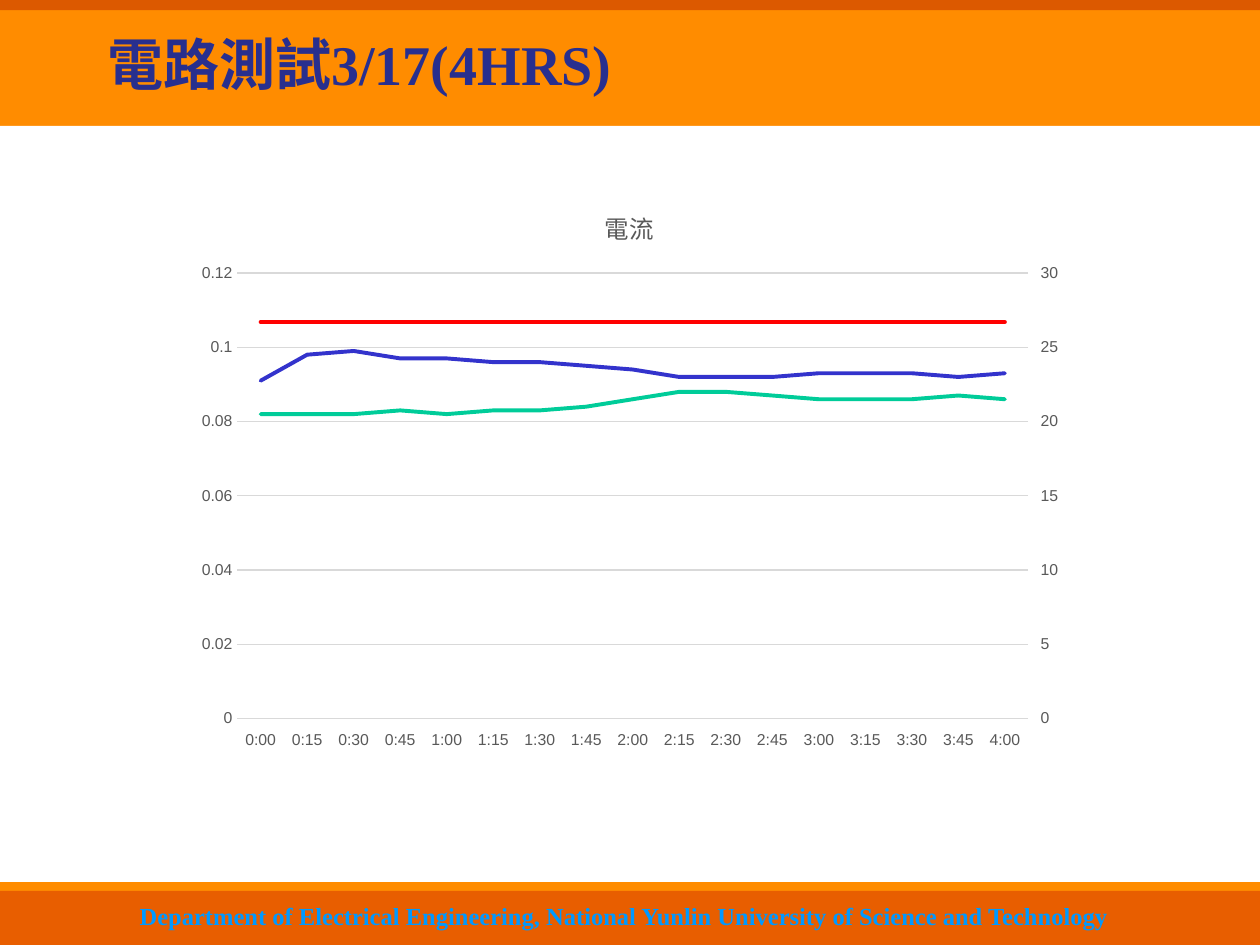
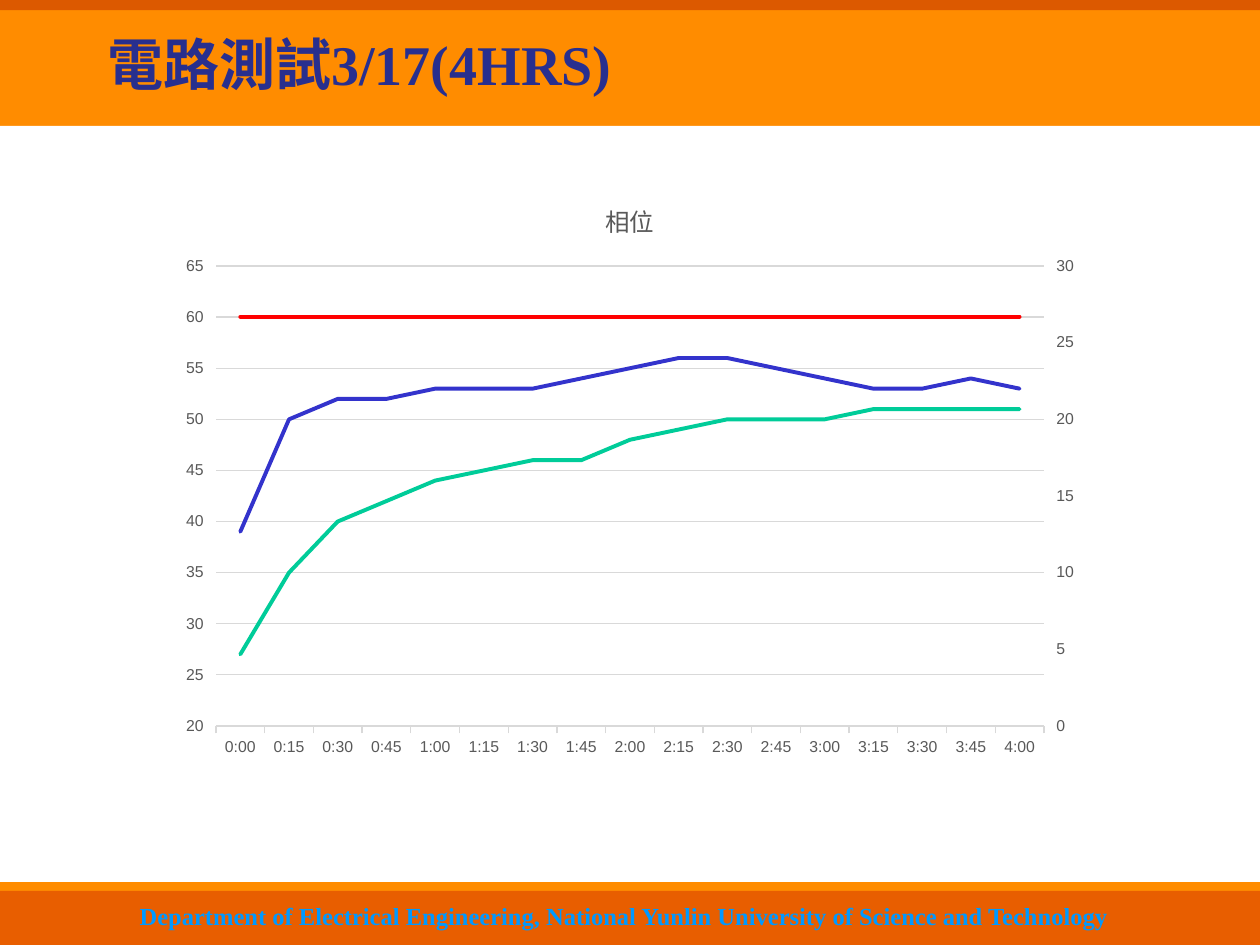
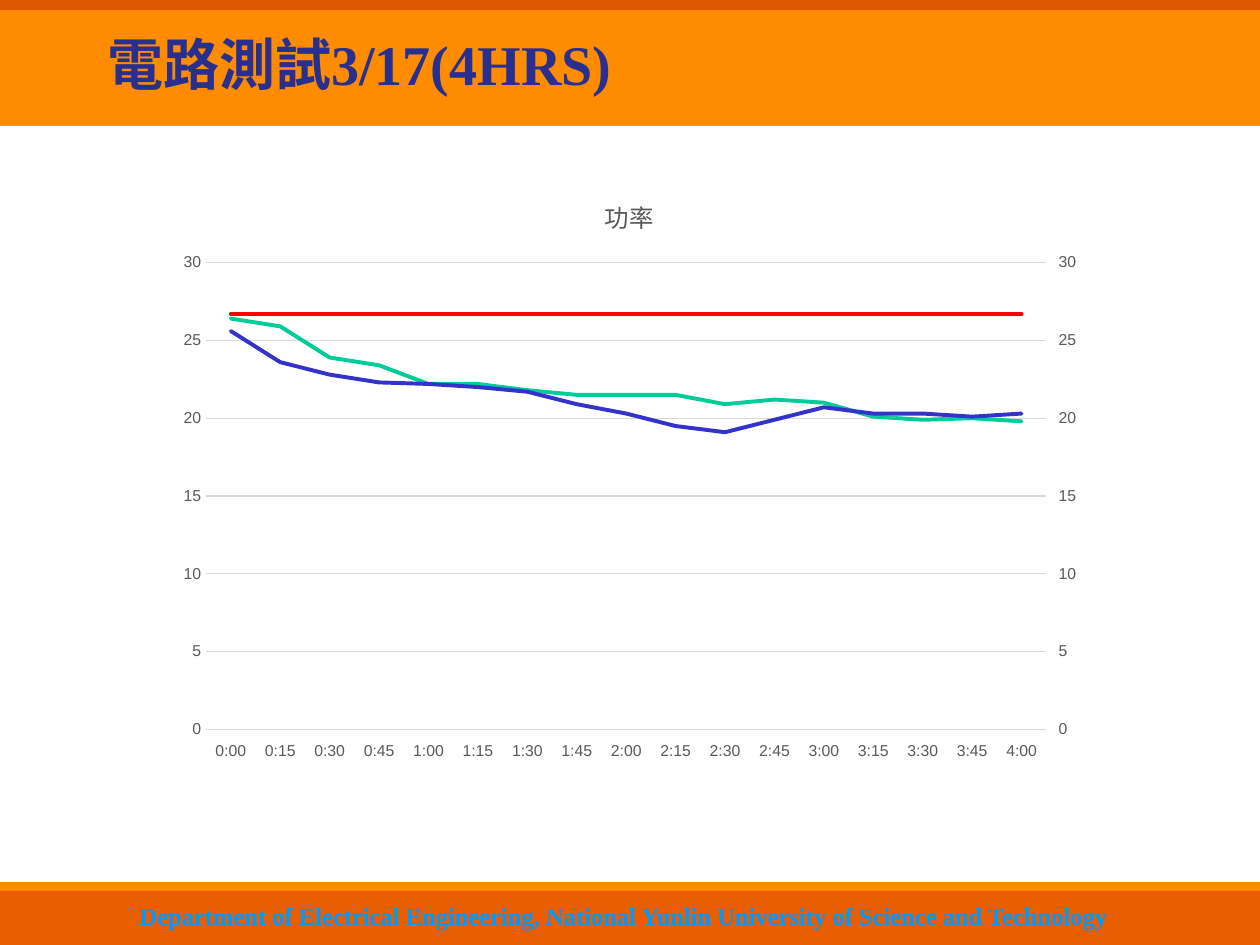
from copy import deepcopy

from lxml import etree
from pptx import Presentation
from pptx.chart.data import CategoryChartData
from pptx.dml.color import RGBColor
from pptx.enum.chart import XL_CHART_TYPE, XL_TICK_LABEL_POSITION, XL_TICK_MARK
from pptx.enum.shapes import MSO_SHAPE
from pptx.enum.text import MSO_ANCHOR, PP_ALIGN
from pptx.oxml import parse_xml
from pptx.oxml.ns import nsdecls, qn
from pptx.util import Inches, Pt

RECT, ROUND = MSO_SHAPE.RECTANGLE, MSO_SHAPE.ROUNDED_RECTANGLE
LEFT, CENTER, MIDDLE = PP_ALIGN.LEFT, PP_ALIGN.CENTER, MSO_ANCHOR.MIDDLE
TICK_NONE, TICK_OUT = XL_TICK_MARK.NONE, XL_TICK_MARK.OUTSIDE

WHITE = RGBColor(0xFF, 0xFF, 0xFF)
ORANGE = RGBColor(0xFF, 0x8C, 0x00)
TOP_ORANGE = RGBColor(0xDC, 0x59, 0x00)
FOOTER_ORANGE = RGBColor(0xE8, 0x5E, 0x00)
FOOTER_BLUE = RGBColor(0x00, 0x99, 0xFF)
TITLE_BLUE = RGBColor(0x28, 0x2F, 0x8E)
GREEN = RGBColor(0x00, 0xCC, 0x99)
BLUE = RGBColor(0x33, 0x33, 0xCC)
RED = RGBColor(0xFF, 0x00, 0x00)
BLACK = RGBColor(0x00, 0x00, 0x00)
GRAY = RGBColor(0x59, 0x59, 0x59)
GRID = RGBColor(0xD9, 0xD9, 0xD9)

SERIF, SANS = "Times New Roman", "Arial"
TITLE = "電路測試3/17(4HRS)"
FOOTER = ("Department of Electrical Engineering, "
          "National Yunlin University of Science and Technology")
BANDS = [
    (RECT, (0, 0.02, 10, 7.48), ORANGE),
    (RECT, (0, 0, 10, 0.08), TOP_ORANGE),
    (ROUND, (0, 1, 10, 6), WHITE),
    (ROUND, (0, 7.07, 10, 0.43), FOOTER_ORANGE),
]
TITLE_BOX = (0.75, 0, 8.19, 1)
FOOTER_BOX = (0.9, 7.1, 8.11, 0.33)

TIMES = [f"{i // 4}:{i % 4 * 15:02d}" for i in range(17)]
REFERENCE = [26.7] * len(TIMES)

# chart title, box, left axis (min, max, step), tick mark, green values, blue values
CHARTS = [
    ("電流", (1.46, 1.46, 7.08, 4.58), (0, 0.12, 0.02), TICK_NONE,
     [0.082, 0.082, 0.082, 0.083, 0.082, 0.083, 0.083, 0.084, 0.086,
      0.088, 0.088, 0.087, 0.086, 0.086, 0.086, 0.087, 0.086],
     [0.091, 0.098, 0.099, 0.097, 0.097, 0.096, 0.096, 0.095, 0.094,
      0.092, 0.092, 0.092, 0.093, 0.093, 0.093, 0.092, 0.093]),
    ("相位", (1.33, 1.4, 7.34, 4.7), (20, 65, 5), TICK_OUT,
     [27, 35, 40, 42, 44, 45, 46, 46, 48, 49, 50, 50, 50, 51, 51, 51, 51],
     [39, 50, 52, 52, 53, 53, 53, 54, 55, 56, 56, 55, 54, 53, 53, 54, 53]),
    ("功率", (1.31, 1.37, 7.38, 4.76), (0, 30, 5), TICK_NONE,
     [26.4, 25.9, 23.9, 23.4, 22.2, 22.2, 21.8, 21.5, 21.5,
      21.5, 20.9, 21.2, 21, 20.1, 19.9, 20, 19.8],
     [25.6, 23.6, 22.8, 22.3, 22.2, 22, 21.7, 20.9, 20.3,
      19.5, 19.1, 19.9, 20.7, 20.3, 20.3, 20.1, 20.3]),
]


def inches(box):
    return [Inches(v) for v in box]


def set_font(font, name, size, color, bold=False):
    font.size, font.bold = Pt(size), bold
    font.color.rgb = color
    font.name = name


def add_bands(slide):
    for kind, box, color in BANDS:
        sp = slide.shapes.add_shape(kind, *inches(box))
        sp.shadow.inherit = False
        sp.fill.solid()
        sp.fill.fore_color.rgb = color
        sp.line.fill.background()
        if kind == ROUND:
            sp.adjustments[0] = 0


def write_line(sp, text, size, color, align):
    tf = sp.text_frame
    tf.word_wrap = True
    tf.vertical_anchor = MIDDLE
    p = tf.paragraphs[0]
    p.alignment = align
    r = p.add_run()
    r.text = text
    set_font(r.font, SERIF, size, color, True)
    return r


def add_footer(slide, box):
    sp = slide.shapes.add_textbox(*inches(box))
    r = write_line(sp, FOOTER, 14, FOOTER_BLUE, CENTER)
    shadow = parse_xml(
        f'<a:effectLst {nsdecls("a")}><a:outerShdw dist="17961" dir="2700000">'
        '<a:srgbClr val="C0C0C0"/></a:outerShdw></a:effectLst>')
    r.font.fill.fore_color.rgb = FOOTER_BLUE
    r.font.name = None
    r.text = FOOTER
    fill = sp.element.find(".//" + qn("a:rPr")).find(qn("a:solidFill"))
    fill.addnext(shadow)
    r.font.name = SERIF


def set_title(slide, box):
    sp = slide.shapes.title
    sp.element.getparent().append(sp.element)  # in front of the bands
    sp.left, sp.top, sp.width, sp.height = inches(box)
    write_line(sp, TITLE, 32, TITLE_BLUE, LEFT)


def set_scale(axis, low, high, step):
    axis.minimum_scale, axis.maximum_scale, axis.major_unit = low, high, step


def move_last_series_right(chart):
    """Give the last series a right-hand copy of the present value axis."""
    plot_area = chart.element.find(".//" + qn("c:plotArea"))
    left, cat_axis, val_axis = (
        plot_area.find(qn(tag)) for tag in ("c:lineChart", "c:catAx", "c:valAx"))
    right, right_cat, right_val = (deepcopy(e) for e in (left, cat_axis, val_axis))
    left.remove(left.findall(qn("c:ser"))[-1])
    for ser in right.findall(qn("c:ser"))[:-1]:
        right.remove(ser)
    for part in (right, right_cat, right_val):
        for ref in part.iter(qn("c:axId"), qn("c:crossAx")):
            ref.set("val", str(int(ref.get("val")) + 1))
    right_cat.find(qn("c:delete")).set("val", "1")
    right_val.find(qn("c:axPos")).set("val", "r")
    right_val.find(qn("c:crosses")).set("val", "max")
    left.addnext(right)
    val_axis.addnext(right_val)
    right_val.addnext(right_cat)


def add_line_chart(slide, title, box, scale, tick, green_values, blue_values):
    data = CategoryChartData()
    data.categories = TIMES
    for i, values in enumerate((green_values, blue_values, REFERENCE), 1):
        data.add_series(f"Series {i}", values)
    chart = slide.shapes.add_chart(XL_CHART_TYPE.LINE, *inches(box), data).chart
    set_font(chart.font, SANS, 10, BLACK)
    chart.has_legend = False
    chart.has_title = True
    r = chart.chart_title.text_frame.paragraphs[0].add_run()
    r.text = title
    set_font(r.font, SANS, 14, GRAY)
    chart.chart_title.include_in_layout = False

    for s, color in zip(chart.plots[0].series, (GREEN, BLUE, RED)):
        s.smooth = False
        s.format.line.color.rgb = color
        s.format.line.width = Pt(2.25)
    for ln in chart.element.xpath(".//c:ser/c:spPr/a:ln"):
        ln.set("cap", "rnd")
        etree.SubElement(ln, qn("a:round"))

    cat_axis, val_axis = chart.category_axis, chart.value_axis
    for axis in (cat_axis, val_axis):
        set_font(axis.tick_labels.font, SANS, 9, GRAY)
        axis.minor_tick_mark = TICK_NONE
    cat_axis.major_tick_mark = tick
    cat_axis.tick_label_position = XL_TICK_LABEL_POSITION.LOW
    val_axis.format.line.fill.background()
    val_axis.has_major_gridlines = False
    val_axis.major_tick_mark = TICK_OUT
    set_scale(val_axis, 0, 30, 5)
    move_last_series_right(chart)

    set_scale(val_axis, *scale)
    val_axis.major_tick_mark = tick
    val_axis.has_major_gridlines = True
    for line in (cat_axis.format.line, val_axis.major_gridlines.format.line):
        line.color.rgb = GRID
        line.width = Pt(0.75)


def main():
    prs = Presentation()
    prs.slide_width, prs.slide_height = Inches(10), Inches(7.5)
    for chart_args in CHARTS:
        slide = prs.slides.add_slide(prs.slide_layouts[5])
        add_bands(slide)
        add_footer(slide, FOOTER_BOX)
        set_title(slide, TITLE_BOX)
        add_line_chart(slide, *chart_args)
    prs.save("out.pptx")


if __name__ == "__main__":
    main()
